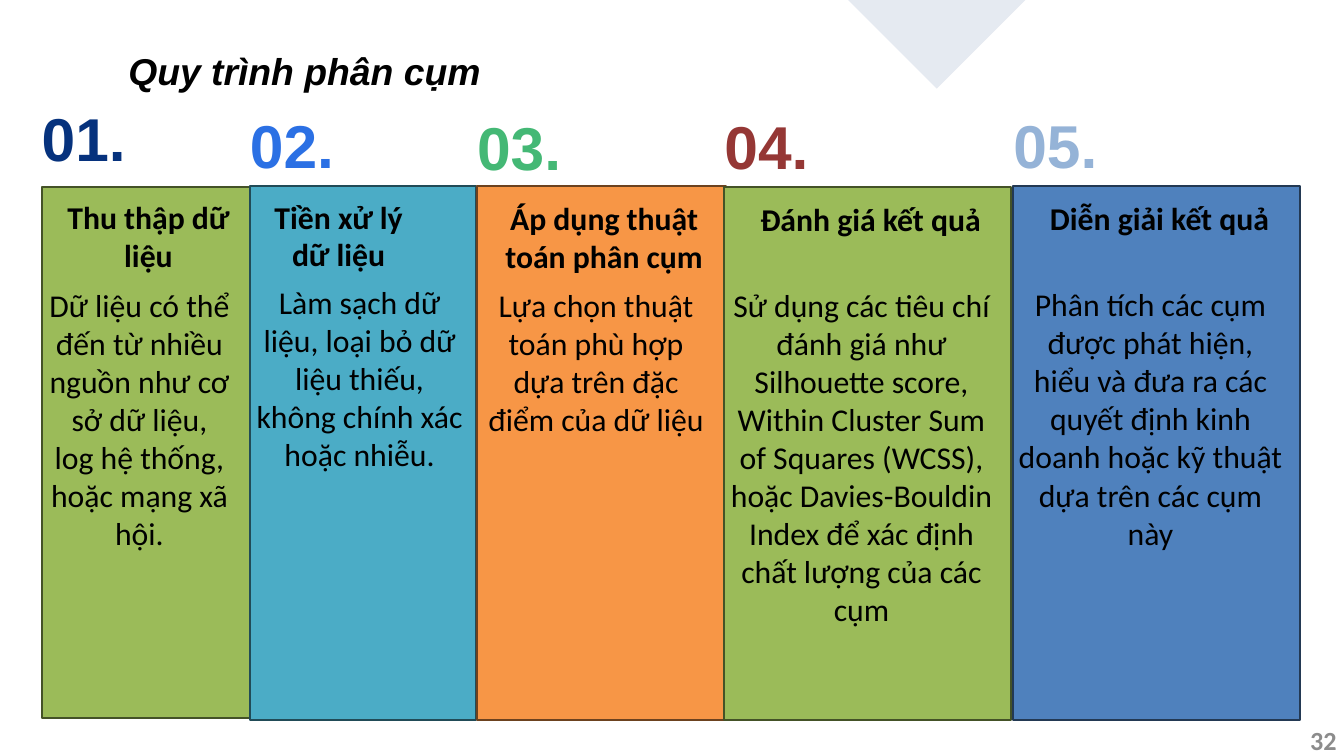
from lxml import etree
from pptx import Presentation
from pptx.dml.color import RGBColor
from pptx.enum.shapes import MSO_SHAPE
from pptx.enum.text import MSO_ANCHOR, PP_ALIGN
from pptx.oxml.ns import qn
from pptx.util import Inches, Pt

RECTANGLE = MSO_SHAPE.RECTANGLE
LEFT, CENTER, RIGHT = PP_ALIGN.LEFT, PP_ALIGN.CENTER, PP_ALIGN.RIGHT
TOP, MIDDLE = MSO_ANCHOR.TOP, MSO_ANCHOR.MIDDLE

COLORS = {
    "black": "000000", "gray": "8C8C8C", "navy": "06327D", "royal": "2B70E4",
    "emerald": "44B875", "brick": "953735", "sky": "95B3D7",
    "green": "9BBB59", "green_line": "445227", "teal": "4BACC6", "teal_line": "214B57",
    "orange": "F79646", "orange_line": "6C421F", "blue": "4F81BD", "blue_line": "233953",
}

# Each step: number colour, number top, panel colour, panel box,
# heading, heading box, heading line spacing, description, description box
STEPS = [
    ("navy", 1.32, "green", (0.62, 2.78, 3.1, 7.91),
     "Thu thập dữ liệu", (0.66, 2.94, 3.1, 1.14), None,
     "Dữ liệu có thể đến từ nhiều nguồn như cơ sở dữ liệu, log hệ thống, "
     "hoặc mạng xã hội.", (0.73, 4.25, 2.69, 4.58)),
    ("royal", 1.42, "teal", (3.72, 2.77, 3.37, 7.94),
     "Tiền xử lý dữ liệu", (3.76, 2.97, 2.56, 1.09), Pt(39.2),
     "Làm sạch dữ liệu, loại bỏ dữ liệu thiếu, không chính xác hoặc nhiễu.",
     (3.79, 4.21, 3.12, 3.43)),
    ("emerald", 1.45, "orange", (7.1, 2.77, 3.7, 7.94),
     "Áp dụng thuật toán phân cụm", (7.14, 2.96, 3.7, 1.14), None,
     "Lựa chọn thuật toán phù hợp dựa trên đặc điểm của dữ liệu",
     (7.15, 4.25, 3.44, 2.86)),
    ("brick", 1.44, "green", (10.78, 2.78, 4.26, 7.94),
     "Đánh giá kết quả", (10.83, 2.97, 4.25, 0.57), None,
     "Sử dụng các tiêu chí đánh giá như Silhouette score, Within Cluster Sum of "
     "Squares (WCSS), hoặc Davies-Bouldin Index để xác định chất lượng của các cụm",
     (10.84, 4.25, 3.96, 5.72)),
    ("sky", 1.43, "blue", (15.08, 2.77, 4.26, 7.94),
     "Diễn giải kết quả", (15.13, 2.96, 4.25, 0.57), None,
     "Phân tích các cụm được phát hiện, hiểu và đưa ra các quyết định kinh doanh "
     "hoặc kỹ thuật dựa trên các cụm này", (15.14, 4.24, 3.96, 4.01)),
]

presentation = Presentation()
presentation.slide_width = Inches(20)
presentation.slide_height = Inches(11.25)
slide = presentation.slides.add_slide(presentation.slide_layouts[5])


def color(name):
    return RGBColor.from_string(COLORS[name])


def write_text(text, box, shape=None, size=34, font="Calibri", fill="black", bold=False,
               italic=False, align=CENTER, anchor=TOP, spacing=None, inset=(0, 0)):
    """Write one paragraph in a given shape, or in a new text box."""
    left, top, width, height = map(Inches, box)
    if shape is None:
        shape = slide.shapes.add_textbox(left, top, width, height)
    shape.left, shape.top, shape.width, shape.height = left, top, width, height
    frame = shape.text_frame
    frame.word_wrap = True
    frame.vertical_anchor = anchor
    frame.margin_left = frame.margin_right = Inches(inset[0])
    frame.margin_top = frame.margin_bottom = Inches(inset[1])
    paragraph = frame.paragraphs[0]
    paragraph.alignment = align
    if spacing:
        paragraph.line_spacing = spacing
    run = paragraph.add_run()
    run.text = text
    run.font.name, run.font.size = font, Pt(size)
    run.font.bold, run.font.italic = bold, italic
    run.font.color.rgb = color(fill)


# Pale corner triangle at the top edge
builder = slide.shapes.build_freeform(Inches(12.62), 0)
builder.add_line_segments([(Inches(15.26), 0), (Inches(13.94), Inches(1.32))], close=True)
corner = builder.convert_to_shape()
corner.shadow.inherit = False
corner.line.fill.background()
corner.fill.solid()
corner.fill.fore_color.rgb = color("navy")
fill_color = corner.fill._xPr.find(qn("a:solidFill"))[0]
etree.SubElement(fill_color, qn("a:alpha")).set("val", "10000")

# Title
write_text("Quy trình phân cụm", (1.81, 0.67, 10.28, 0.77), shape=slide.shapes.title,
           size=40, font="Arial", bold=True, italic=True, align=LEFT, inset=(0.1, 0.05))

# Step columns
for number, step in enumerate(STEPS, start=1):
    (number_color, number_top, panel_color, panel_box,
     heading, heading_box, heading_spacing, description, description_box) = step

    panel = slide.shapes.add_shape(RECTANGLE, *map(Inches, panel_box))
    panel.shadow.inherit = False
    panel.fill.solid()
    panel.fill.fore_color.rgb = color(panel_color)
    panel.line.color.rgb = color(f"{panel_color}_line")
    panel.line.width = Pt(2)

    write_text(f"{number:02d}.", (panel_box[0], number_top, 2.4, 1.16), size=64.8,
               font="Arial", fill=number_color, bold=True, align=LEFT, spacing=Pt(90.8))
    write_text(heading, heading_box, bold=True, spacing=heading_spacing)
    write_text(description, description_box)

# Slide number
write_text("32", (17.66, 10.82, 2.33, 0.4), size=28, fill="gray", bold=True,
           align=RIGHT, anchor=MIDDLE, inset=(0.1, 0.05))

presentation.save("out.pptx")
